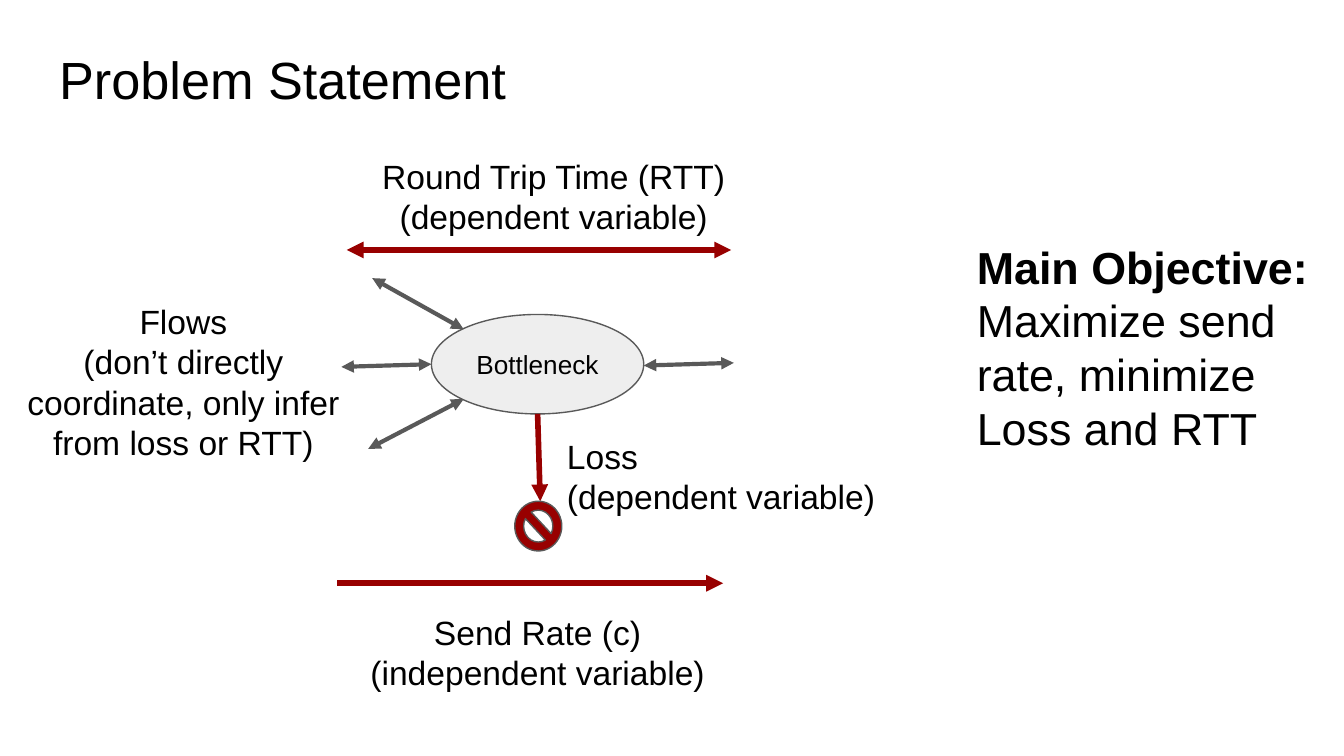
from dataclasses import dataclass

from lxml import etree
from pptx import Presentation
from pptx.dml.color import RGBColor
from pptx.enum import shapes, text
from pptx.oxml import ns
from pptx.util import Inches, Pt


@dataclass(frozen=True)
class Theme:
    font: str = "Arial"
    ink: str = "000000"
    node: str = "EEEEEE"
    gray: str = "595959"
    accent: str = "980000"
    title: int = 28
    objective: int = 24
    label: int = 18
    node_label: int = 14
    outline: float = 0.75
    flow: float = 2.25
    measure: float = 3


@dataclass(frozen=True)
class Box:
    left: float
    top: float
    width: float
    height: float

    def inner(self, left, top, width, height):
        return Box(self.left + left, self.top + top, width, height)

    def point(self, x, y):
        return Inches(self.left + x), Inches(self.top + y)

    def emu(self):
        return [Inches(v) for v in (self.left, self.top, self.width, self.height)]


THEME = Theme()
LEFT, CENTER = text.PP_ALIGN.LEFT, text.PP_ALIGN.CENTER


def color(value):
    return RGBColor.from_string(value)


def write(frame, words, size, align=LEFT, anchor=text.MSO_ANCHOR.TOP):
    frame.text = words
    frame.word_wrap = True
    frame.auto_size = text.MSO_AUTO_SIZE.NONE
    frame.vertical_anchor = anchor
    frame.margin_left = frame.margin_right = Inches(0.1)
    frame.margin_top = frame.margin_bottom = Inches(0.1)
    for paragraph in frame.paragraphs:
        paragraph.alignment = align
        for run in paragraph.runs:
            run.font.name = THEME.font
            run.font.size = Pt(size)
            run.font.color.rgb = color(THEME.ink)


def add_label(slide, box, words, size=THEME.label, align=CENTER):
    frame = slide.shapes.add_textbox(*box.emu()).text_frame
    write(frame, words, size, align)
    return frame


def add_figure(slide, box, preset, fill):
    figure = slide.shapes.add_shape(preset, *box.emu())
    figure.shadow.inherit = False
    figure.fill.solid()
    figure.fill.fore_color.rgb = color(fill)
    figure.line.color.rgb = color(THEME.gray)
    figure.line.width = Pt(THEME.outline)
    return figure


def add_arrow(slide, box, start, end, stroke, width, both=True):
    arrow = slide.shapes.add_connector(
        shapes.MSO_CONNECTOR.STRAIGHT, *box.point(*start), *box.point(*end))
    arrow.line.color.rgb = color(stroke)
    arrow.line.width = Pt(width)
    line = arrow.line._get_or_add_ln()
    for tag in ("a:headEnd", "a:tailEnd") if both else ("a:tailEnd",):
        etree.SubElement(line, ns.qn(tag), type="triangle")
    etree.SubElement(arrow._element.spPr, ns.qn("a:effectLst"))


def place_title(slide, box):
    title = slide.shapes.title
    title.left, title.top, title.width, title.height = box.emu()
    write(title.text_frame, "Problem Statement", THEME.title)


def draw_network(slide, box):
    bottleneck = add_figure(
        slide, box.inner(3.21, 1.34, 1.58, 0.74), shapes.MSO_SHAPE.OVAL, THEME.node)
    write(bottleneck.text_frame, "Bottleneck", THEME.node_label, CENTER,
          text.MSO_ANCHOR.MIDDLE)

    flows = [((2.74, 2.34), (3.45, 1.97)),
             ((2.77, 1.07), (3.45, 1.45)),
             ((2.54, 1.73), (3.21, 1.71)),
             ((4.79, 1.72), (5.46, 1.7))]
    for start, end in flows:
        add_arrow(slide, box, start, end, THEME.gray, THEME.flow)

    measures = [((2.51, 3.34), (5.38, 3.34), False),
                ((4, 2.08), (4.02, 2.73), False),
                ((2.58, 0.86), (5.44, 0.86), True)]
    for start, end, both in measures:
        add_arrow(slide, box, start, end, THEME.accent, THEME.measure, both)

    drop = add_figure(
        slide, box.inner(3.83, 2.73, 0.35, 0.37), shapes.MSO_SHAPE.NO_SYMBOL, THEME.accent)
    drop.adjustments[0] = 0.19

    labels = [
        ((0, 1.14, 2.73, 1.72), CENTER,
         "Flows\n(don’t directly coordinate, only infer from loss or RTT)"),
        ((2.54, 3.45, 2.92, 0.38), CENTER, "Send Rate (c)\n(independent variable)"),
        ((4.12, 2.14, 2.73, 0.38), LEFT, "Loss\n(dependent variable)"),
        ((2.66, 0.06, 2.92, 0.69), CENTER, "Round Trip Time (RTT)\n(dependent variable)"),
    ]
    for place, align, words in labels:
        add_label(slide, box.inner(*place), words, align=align)


def place_objective(slide, box):
    frame = add_label(
        slide, box, "Main Objective:\nMaximize send rate, minimize Loss and RTT",
        THEME.objective, LEFT)
    frame.paragraphs[0].runs[0].font.bold = True


def main():
    deck = Presentation()
    deck.slide_width = Inches(10)
    deck.slide_height = deck.slide_width * 9 // 16
    slide = deck.slides.add_slide(deck.slide_layouts.get_by_name("Title Only"))
    place_title(slide, Box(0.34, 0.25, 9.32, 0.63))
    draw_network(slide, Box(0, 1, 6.85, 4.2))
    place_objective(slide, Box(7.17, 1.68, 2.86, 0.69))
    deck.save("out.pptx")


if __name__ == "__main__":
    main()
